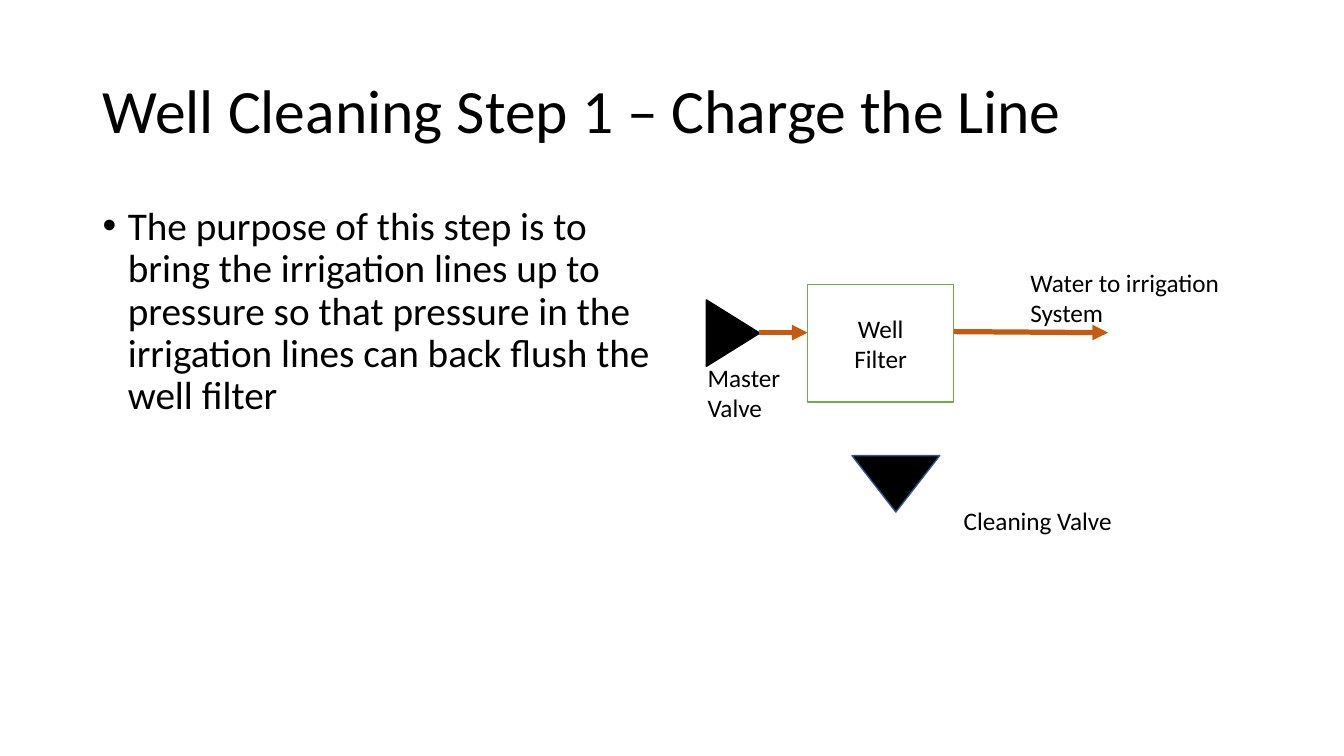
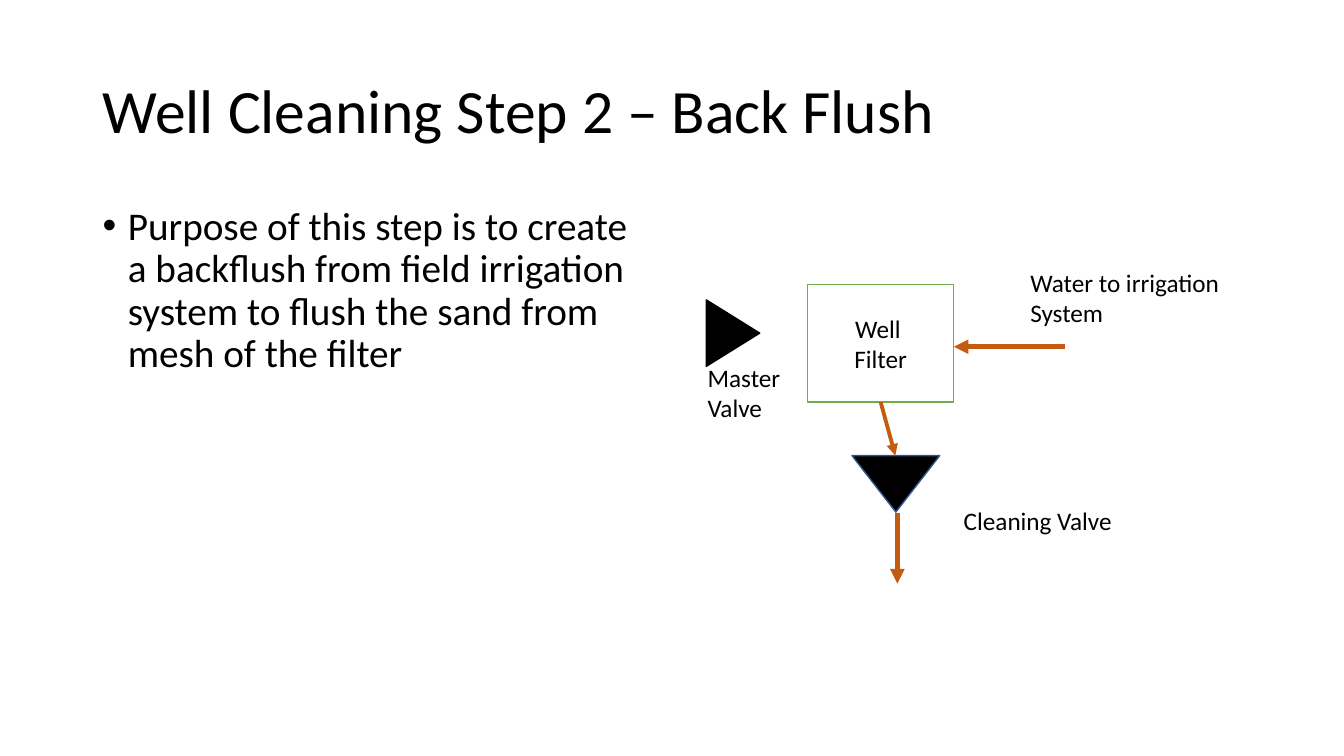
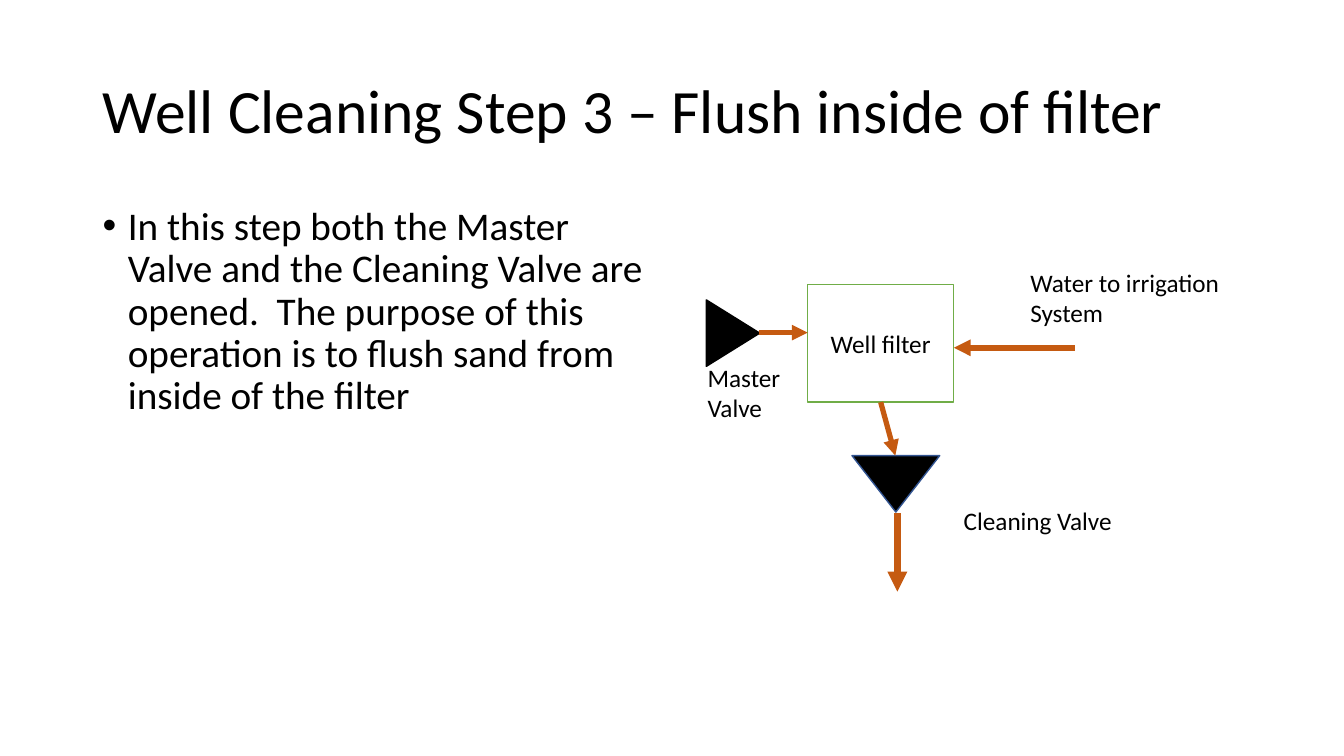
from dataclasses import dataclass

from lxml.etree import SubElement
from pptx import Presentation
from pptx.dml.color import RGBColor
from pptx.enum.shapes import MSO_CONNECTOR as Line, MSO_SHAPE as Shape
from pptx.enum.text import MSO_ANCHOR as Anchor, MSO_AUTO_SIZE as AutoSize, PP_ALIGN as Align
from pptx.oxml.ns import qn
from pptx.util import Emu, Pt

PX = 9144  # EMU per px, 100 px to the inch
FONT = "Calibri"
COLORS = {
    "text": "000000",
    "valve": "000000",
    "valve_edge": "325491",
    "filter": "FFFFFF",
    "filter_edge": "70AD47",
    "flow": "C55A11",
}

# Text formats: paragraph and frame values are set by name
TITLE = {"size": 44, "frame": {"vertical_anchor": Anchor.MIDDLE, "word_wrap": True},
         "para": {"line_spacing": 0.9}}
BODY = {"size": 28, "frame": {"word_wrap": True},
        "para": {"line_spacing": 0.9, "space_before": Pt(10)}}
LABEL = {"size": 18, "frame": {"word_wrap": False, "auto_size": AutoSize.SHAPE_TO_FIT_TEXT},
         "para": {}}
FILTER = {"size": 18, "frame": {"vertical_anchor": Anchor.MIDDLE, "word_wrap": True},
          "para": {"alignment": Align.CENTER}}


@dataclass(frozen=True)
class Box:
    x: int
    y: int
    w: int
    h: int

    def emu(self) -> list[Emu]:
        return [Emu(v * PX) for v in (self.x, self.y, self.w, self.h)]


@dataclass(frozen=True)
class Valve:
    box: Box
    rotation: int
    edge: str


@dataclass(frozen=True)
class Label:
    text: str
    box: Box


@dataclass(frozen=True)
class Flow:
    start: tuple[int, int]
    end: tuple[int, int]
    width: float
    from_filter_bottom: bool = False


@dataclass(frozen=True)
class Step:
    title: str
    purpose: str
    filter_text: str
    flows: list[Flow]


TITLE_BOX = Box(92, 40, 1150, 145)
BODY_BOX = Box(92, 200, 567, 476)
FILTER_BOX = Box(801, 282, 145, 117)
VALVES = [
    Valve(Box(694, 304, 66, 53), 90, "valve"),
    Valve(Box(845, 452, 87, 56), 180, "valve_edge"),
]
LABELS = [
    Label("Water to irrigation\nSystem", Box(1012, 260, 209, 71)),
    Label("Master\nValve", Box(692, 354, 93, 71)),
    Label("Cleaning Valve", Box(946, 496, 169, 40)),
]


def master_flow() -> Flow:
    return Flow((753, 330), (801, 330), 3.75)


def field_flow(x: int, y: int, width: float) -> Flow:
    return Flow((x, y), (946, y), width)


def filter_drain(width: float) -> Flow:
    return Flow((874, 399), (888, 452), width, from_filter_bottom=True)


def valve_drain(bottom: int, width: float) -> Flow:
    return Flow((890, 509), (890, bottom), width)


STEPS = [
    Step("Well Cleaning Step 1 – Charge the Line",
         "The purpose of this step is to bring the irrigation lines up to pressure so that "
         "pressure in the irrigation lines can back flush the well filter",
         "Well\nFilter",
         [master_flow(), Flow((946, 329), (1099, 330), 3.75)]),
    Step("Well Cleaning Step 2 – Back Flush",
         "Purpose of this step is to create a backflush from field irrigation system to flush "
         "the sand from mesh of the filter",
         "Well \nFilter",
         [field_flow(1056, 344, 3.5), filter_drain(2.75), valve_drain(579, 3.5)]),
    Step("Well Cleaning Step 3 – Flush inside of filter",
         "In this step both the Master Valve and the Cleaning Valve are opened.  The purpose of "
         "this operation is to flush sand from inside of the filter",
         "Well filter",
         [master_flow(), field_flow(1066, 345, 4), filter_drain(3.75), valve_drain(587, 4.75)]),
]


def rgb(name: str) -> RGBColor:
    return RGBColor.from_string(COLORS[name])


def set_attrs(target, values: dict) -> None:
    for name, value in values.items():
        setattr(target, name, value)


def write(tf, text: str, style: dict) -> None:
    set_attrs(tf, style["frame"])
    for i, line in enumerate(text.split("\n")):
        p = tf.paragraphs[0] if i == 0 else tf.add_paragraph()
        set_attrs(p, style["para"])
        r = p.add_run()
        r.text = line
        set_attrs(r.font, {"name": FONT, "size": Pt(style["size"])})
        r.font.color.rgb = rgb("text")


def add_text(s, text: str, box: Box, style: dict):
    sp = s.shapes.add_textbox(*box.emu())
    write(sp.text_frame, text, style)
    return sp


def add_bullet(p) -> None:
    pPr = p._p.get_or_add_pPr()
    pPr.set("marL", str(25 * PX))
    pPr.set("indent", str(-25 * PX))
    SubElement(pPr, qn("a:buFont")).set("typeface", "Arial")
    SubElement(pPr, qn("a:buChar")).set("char", "•")


def add_part(s, kind: Shape, box: Box, fill: str, edge: str):
    sp = s.shapes.add_shape(kind, *box.emu())
    sp.shadow.inherit = False
    sp.fill.solid()
    sp.fill.fore_color.rgb = rgb(fill)
    sp.line.color.rgb = rgb(edge)
    sp.line.width = Pt(1)
    return sp


def add_flow(s, flow: Flow, well_filter) -> None:
    ends = [Emu(v * PX) for v in (*flow.start, *flow.end)]
    arrow = s.shapes.add_connector(Line.STRAIGHT, *ends)
    arrow.line.color.rgb = rgb("flow")
    arrow.line.width = Pt(flow.width)
    SubElement(arrow.line._get_or_add_ln(), qn("a:tailEnd")).set("type", "triangle")
    SubElement(arrow._element.spPr, qn("a:effectLst"))
    if flow.from_filter_bottom:
        arrow.begin_connect(well_filter, 2)


def add_step(prs, step: Step) -> None:
    s = prs.slides.add_slide(prs.slide_layouts[6])
    # Title and purpose
    add_text(s, step.title, TITLE_BOX, TITLE)
    body = add_text(s, step.purpose, BODY_BOX, BODY)
    add_bullet(body.text_frame.paragraphs[0])
    # Filter and valves
    well_filter = add_part(s, Shape.RECTANGLE, FILTER_BOX, "filter", "filter_edge")
    write(well_filter.text_frame, step.filter_text, FILTER)
    for valve in VALVES:
        sp = add_part(s, Shape.ISOSCELES_TRIANGLE, valve.box, "valve", valve.edge)
        sp.rotation = valve.rotation
    # Labels and water flow
    for label in LABELS:
        add_text(s, label.text, label.box, LABEL)
    for flow in step.flows:
        add_flow(s, flow, well_filter)


def main() -> None:
    prs = Presentation()
    prs.slide_width, prs.slide_height = Emu(1333 * PX), Emu(750 * PX)
    for step in STEPS:
        add_step(prs, step)
    prs.save("out.pptx")


if __name__ == "__main__":
    main()
